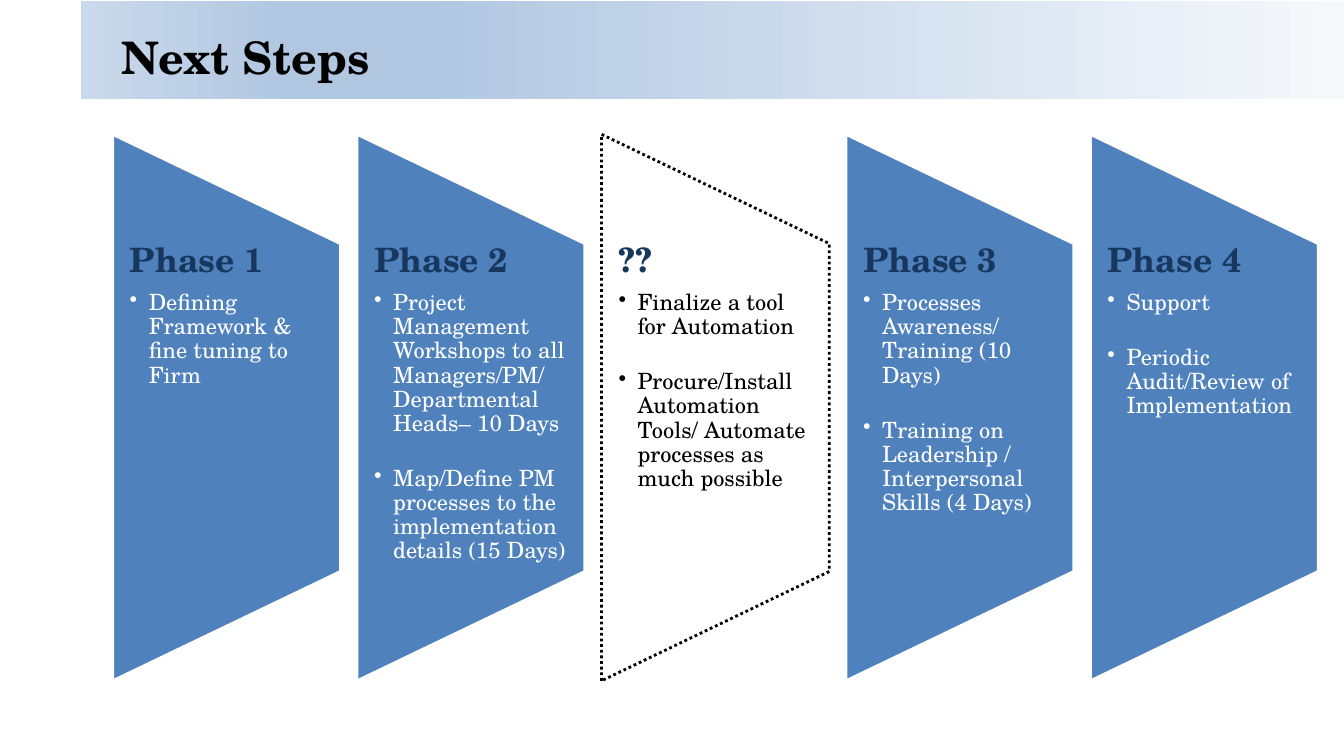
from dataclasses import dataclass

from lxml import etree
from pptx import Presentation
from pptx import util as u
from pptx.dml.color import RGBColor
from pptx.enum import dml, shapes, text
from pptx.oxml.ns import qn


@dataclass(frozen=True)
class Theme:
    font: str = "TeX Gyre Schola"
    black: str = "000000"
    white: str = "FFFFFF"
    blue: str = "4F81BD"
    navy: str = "17375E"
    band: tuple = ((0, "F6F9FC"), (74, "B0C6E1"), (83, "B0C6E1"), (100, "CAD9EB"))
    title_size: int = 32
    heading_size: int = 24
    body_size: int = 16
    line_width: int = 2
    line_spacing: float = 0.9
    after_heading: float = 8.4
    between_bullets: int = 22


class Deck:
    def __init__(self, theme):
        self.theme = theme
        self.prs = Presentation()
        self.prs.slide_width, self.prs.slide_height = u.Cm(33.87), u.Cm(19.05)
        self.s = self.prs.slides.add_slide(self.prs.slide_layouts[6])

    def shape(self, kind, x, y, w, h):
        sp = self.s.shapes.add_shape(kind, u.Cm(x), u.Cm(y), u.Cm(w), u.Cm(h))
        sp.shadow.inherit = False
        return sp

    def gradient_band(self, x, y, w, h):
        sp = self.shape(shapes.MSO_SHAPE.RECTANGLE, x, y, w, h)
        sp.line.fill.background()
        sp.fill.gradient()
        sp.fill.gradient_angle = 180
        stops = sp.element.spPr.find(".//" + qn("a:gsLst"))
        for gs in list(stops):
            stops.remove(gs)
        for percent, color in self.theme.band:
            gs = etree.SubElement(stops, qn("a:gs"), pos=str(percent * 1000))
            etree.SubElement(gs, qn("a:srgbClr"), val=color)

    def textbox(self, x, y, w, h, inset_x, inset_y, anchor):
        tf = self.s.shapes.add_textbox(u.Cm(x), u.Cm(y), u.Cm(w), u.Cm(h)).text_frame
        tf.word_wrap = True
        tf.vertical_anchor = anchor
        tf.margin_left = tf.margin_right = u.Cm(inset_x)
        tf.margin_top = tf.margin_bottom = u.Cm(inset_y)
        return tf

    def run(self, p, words, size, color, bold=False):
        r = p.add_run()
        r.text = words
        r.font.name, r.font.size, r.font.bold = self.theme.font, u.Pt(size), bold
        r.font.color.rgb = RGBColor.from_string(color)

    def bullet(self, tf, words, color, space_before):
        p = tf.add_paragraph()
        pPr = p._p.get_or_add_pPr()
        pPr.set("marL", str(u.Cm(0.48)))
        pPr.set("indent", str(u.Cm(-0.48)))
        etree.SubElement(pPr, qn("a:buChar"), char="•")
        p.line_spacing = self.theme.line_spacing
        p.space_before = u.Pt(space_before)
        self.run(p, words, self.theme.body_size, color)

    def title(self, words):
        tf = self.textbox(2.82, 0.18, 29.92, 2.51, 0.25, 0.13, text.MSO_ANCHOR.MIDDLE)
        self.run(tf.paragraphs[0], words, self.theme.title_size, self.theme.black, True)

    def phase(self, x, heading, bullets, is_open):
        """Draw one phase panel; an open phase is unfilled with a dotted outline."""
        t = self.theme
        w, h, middle = 5.74, 13.77, 10.27
        # The flowchart shape lies on its side, so its width is the panel's height.
        sp = self.shape(shapes.MSO_SHAPE.FLOWCHART_MANUAL_OPERATION,
                        x + (w - h) / 2, middle - w / 2, h, w)
        sp.rotation = 270
        sp.line.width = u.Pt(t.line_width)
        sp.line.color.rgb = RGBColor.from_string(t.black if is_open else t.white)
        if is_open:
            sp.fill.background()
            sp.line.dash_style = dml.MSO_LINE.ROUND_DOT
        else:
            sp.fill.solid()
            sp.fill.fore_color.rgb = RGBColor.from_string(t.blue)

        tf = self.textbox(x, 6.13, w, 8.26, 0.43, 0, text.MSO_ANCHOR.TOP)
        p = tf.paragraphs[0]
        p.line_spacing = t.line_spacing
        self.run(p, heading, t.heading_size, t.navy, True)
        for i, words in enumerate(bullets):
            self.bullet(tf, words, t.black if is_open else t.white,
                        t.between_bullets if i else t.after_heading)


PHASES = [
    ("Phase 1", ["Defining Framework & fine tuning to Firm"], False),
    ("Phase 2", ["Project Management Workshops to all Managers/PM/ Departmental Heads– 10 Days",
                 "Map/Define PM processes to the implementation details (15 Days)"], False),
    ("??", ["Finalize a tool for Automation",
            "Procure/Install Automation Tools/ Automate processes as much possible"], True),
    ("Phase 3", ["Processes Awareness/ Training (10 Days)",
                 "Training on Leadership / Interpersonal Skills (4 Days)"], False),
    ("Phase 4", ["Support", "Periodic Audit/Review of Implementation"], False),
]


def main():
    deck = Deck(Theme())
    deck.gradient_band(2.05, 0.02, 31.82, 2.48)
    deck.title("Next Steps")
    for i, (heading, bullets, is_open) in enumerate(PHASES):
        deck.phase(2.84 + 6.16 * i, heading, bullets, is_open)
    deck.prs.save("out.pptx")


if __name__ == "__main__":
    main()
